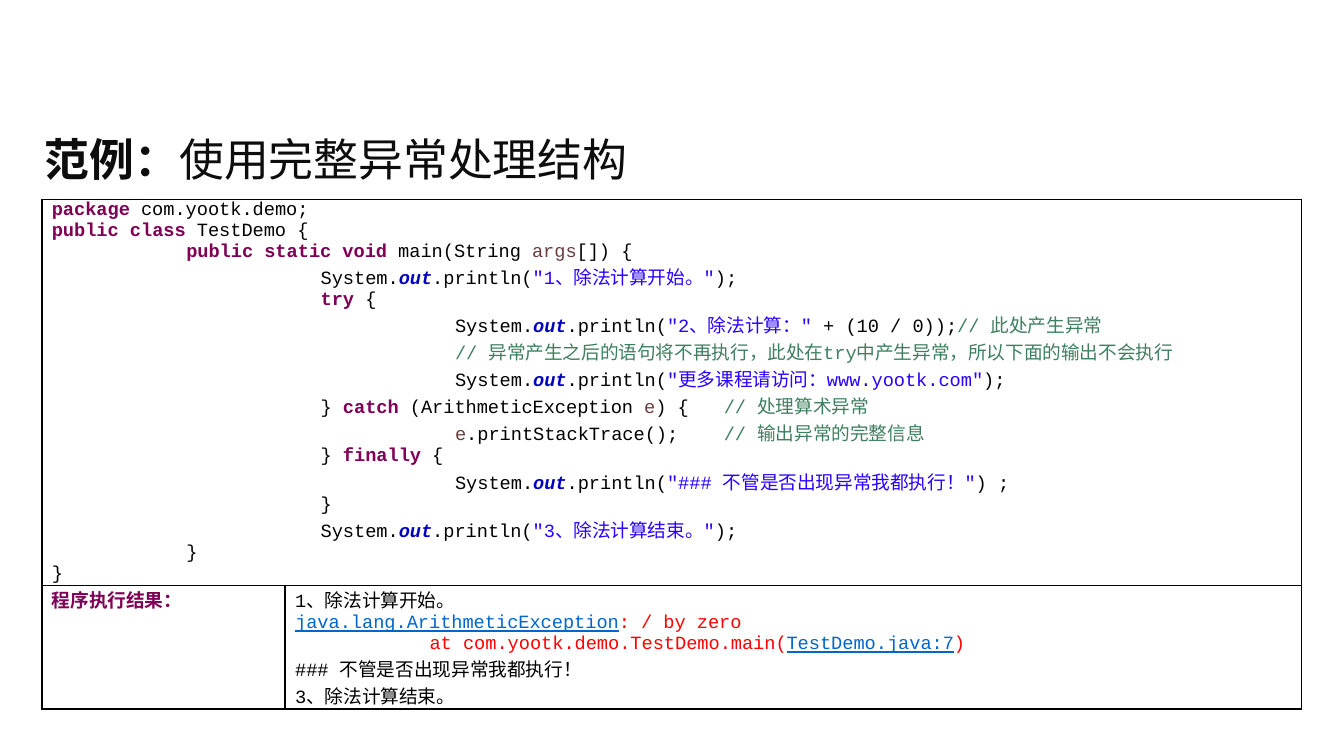
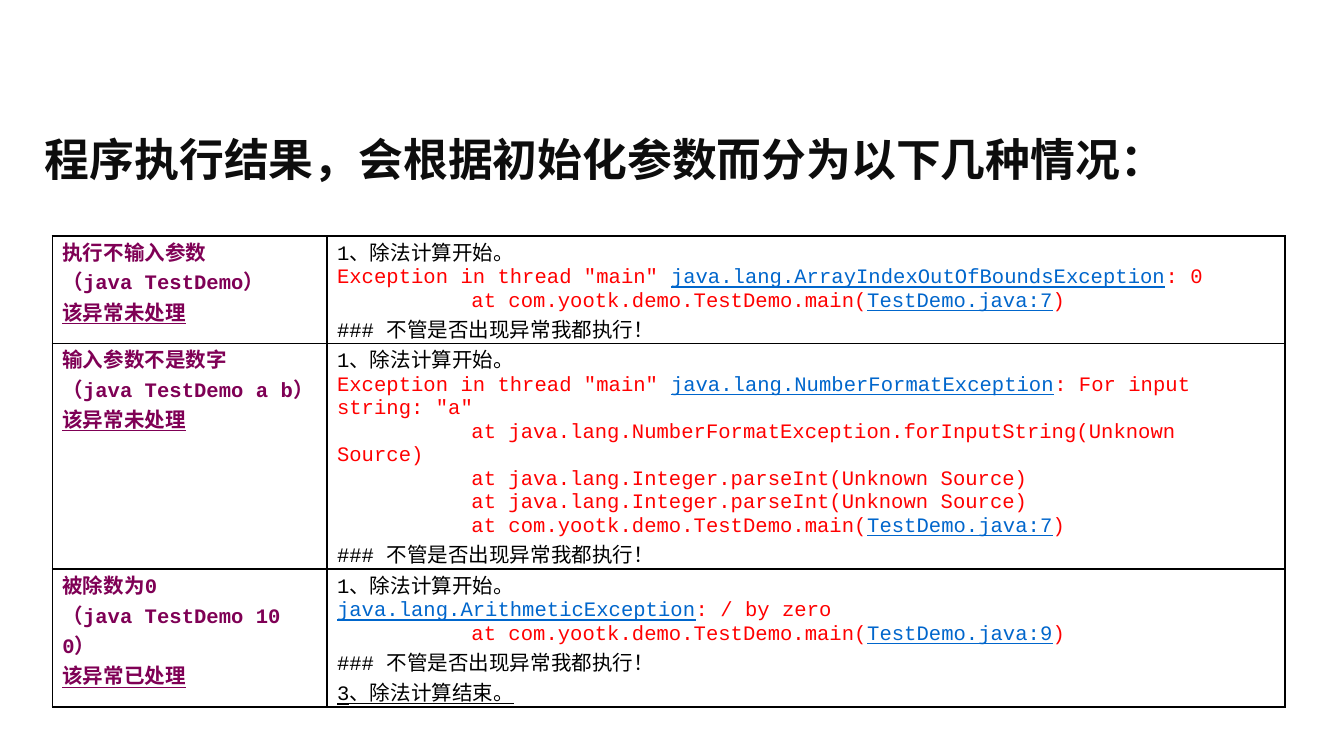
import lxml.etree
import pptx
import pptx.dml.color
import pptx.enum.text
import pptx.oxml.ns
import pptx.util

Cm = pptx.util.Cm
Pt = pptx.util.Pt

CODE_FONT = "Courier New"
CHINESE_FONT = "Noto Sans CJK SC"
TITLE_BOX = (0.6, 2.18, 24.2, 1.63)
CELL_MARGIN = 0.19
TAB_WIDTH = 2.54
BORDER_COLOR = "000000"
TITLE_COLOR = "0D0D0D"

STYLES = {
    "plain": {"color": "000000"},
    "keyword": {"color": "7F0055", "bold": True},
    "verdict": {"color": "7F0055", "bold": True, "underline": True},
    "variable": {"color": "6A3E3E"},
    "field": {"color": "0000C0", "bold": True, "italic": True},
    "string": {"color": "2A00FF"},
    "comment": {"color": "3F7F5F"},
    "error": {"color": "FF0000"},
    "link": {"color": "0066CC", "underline": True},
    "underlined": {"color": "000000", "underline": True},
}

START = [("plain", "1、除法计算开始。")]
ALWAYS = [("plain", "### 不管是否出现异常我都执行！")]
END_TEXT = "3、除法计算结束。"


def rgb(value):
    return pptx.dml.color.RGBColor.from_string(value)


def add_run(paragraph, text, size, font_name, color, bold=False, italic=False, underline=False):
    run = paragraph.add_run()
    run.text = text
    font = run.font
    font.size = Pt(size)
    font.bold = bold
    font.italic = italic
    font.underline = underline
    font.color.rgb = rgb(color)
    font.name = font_name
    properties = run._r.get_or_add_rPr()
    east_asian = lxml.etree.SubElement(properties, pptx.oxml.ns.qn("a:ea"))
    east_asian.set("typeface", CHINESE_FONT)


def add_title(slide, box, parts):
    shape = slide.shapes.add_textbox(*map(Cm, box))
    frame = shape.text_frame
    frame.word_wrap = True
    frame.vertical_anchor = pptx.enum.text.MSO_ANCHOR.MIDDLE
    for text, bold in parts:
        add_run(frame.paragraphs[0], text, 24, CHINESE_FONT, TITLE_COLOR, bold)


def add_borders(cell):
    properties = cell._tc.get_or_add_tcPr()
    for side in ("lnL", "lnR", "lnT", "lnB"):
        line = lxml.etree.SubElement(properties, pptx.oxml.ns.qn(f"a:{side}"), w=str(Pt(1)))
        fill = lxml.etree.SubElement(line, pptx.oxml.ns.qn("a:solidFill"))
        lxml.etree.SubElement(fill, pptx.oxml.ns.qn("a:srgbClr"), val=BORDER_COLOR)


def fill_cell(cell, lines, size):
    frame = cell.text_frame
    for index, line in enumerate(lines):
        paragraph = frame.add_paragraph() if index else frame.paragraphs[0]
        paragraph._p.get_or_add_pPr().set("defTabSz", str(Cm(TAB_WIDTH)))
        for style, text in line:
            add_run(paragraph, text, size, CODE_FONT, **STYLES[style])


def add_code_table(slide, position, column_widths, row_heights, rows, size):
    left, top = position
    shape = slide.shapes.add_table(
        len(row_heights), len(column_widths), Cm(left), Cm(top),
        Cm(sum(column_widths)), Cm(sum(row_heights)))
    table = shape.table
    table.first_row = False
    table.horz_banding = False
    for column, width in zip(table.columns, column_widths):
        column.width = Cm(width)
    for row, height in zip(table.rows, row_heights):
        row.height = Cm(height)
    for row_index, cells in enumerate(rows):
        for column_index in range(len(column_widths)):
            cell = table.cell(row_index, column_index)
            cell.margin_left = cell.margin_right = Cm(CELL_MARGIN)
            cell.margin_top = cell.margin_bottom = 0
            add_borders(cell)
            cell.fill.background()
        if len(cells) == 1:
            table.cell(row_index, 0).merge(table.cell(row_index, len(column_widths) - 1))
        for column_index, lines in enumerate(cells):
            fill_cell(table.cell(row_index, column_index), lines, size)


def print_line(depth, text, ending=");"):
    return [("plain", "\t" * depth + "System."), ("field", "out"), ("plain", ".println("),
            ("string", f'"{text}"'), ("plain", ending)]


def trace_line(line_number):
    return [("error", "\tat com.yootk.demo.TestDemo.main("),
            ("link", f"TestDemo.java:{line_number}"), ("error", ")")]


def exception_line(name, message, prefix=""):
    start = [("error", prefix)] if prefix else []
    return start + [("link", f"java.lang.{name}"), ("error", message)]


def case_label(condition, command, verdict):
    return [[("keyword", condition)], [("keyword", f"（{command}）")], [("verdict", verdict)]]


def arithmetic_result(line_number, end_style):
    return [START, exception_line("ArithmeticException", ": / by zero"),
            trace_line(line_number), ALWAYS, [(end_style, END_TEXT)]]


def program_lines():
    return [
        [("keyword", "package"), ("plain", " com.yootk.demo;")],
        [("keyword", "public class"), ("plain", " TestDemo {")],
        [("plain", "\t"), ("keyword", "public static void"), ("plain", " main(String "),
         ("variable", "args"), ("plain", "[]) {")],
        print_line(2, "1、除法计算开始。"),
        [("plain", "\t\t"), ("keyword", "try"), ("plain", " {")],
        print_line(3, "2、除法计算：", " + (10 / 0));") + [("comment", "// 此处产生异常")],
        [("plain", "\t\t\t"),
         ("comment", "// 异常产生之后的语句将不再执行，此处在try中产生异常，所以下面的输出不会执行")],
        print_line(3, "更多课程请访问：www.yootk.com"),
        [("plain", "\t\t} "), ("keyword", "catch"), ("plain", " (ArithmeticException "),
         ("variable", "e"), ("plain", ") {\t"), ("comment", "// 处理算术异常")],
        [("plain", "\t\t\t"), ("variable", "e"), ("plain", ".printStackTrace();\t"),
         ("comment", "// 输出异常的完整信息")],
        [("plain", "\t\t} "), ("keyword", "finally"), ("plain", " {")],
        print_line(3, "### 不管是否出现异常我都执行！", ") ;"),
        [("plain", "\t\t}")],
        print_line(2, END_TEXT),
        [("plain", "\t}")],
        [("plain", "}")],
    ]


def build_example_slide(slide):
    add_title(slide, TITLE_BOX, [("范例：", True), ("使用完整异常处理结构", False)])
    rows = [
        [program_lines()],
        [[[("keyword", "程序执行结果：")]], arithmetic_result(7, "plain")],
    ]
    add_code_table(slide, (0.79, 3.77), (4.6, 19.21), (7.29, 2.33), rows, 10)


def build_results_slide(slide):
    add_title(slide, TITLE_BOX, [("程序执行结果，会根据初始化参数而分为以下几种情况：", True)])
    thread = 'Exception in thread "main" '
    parse_line = [("error", "\tat java.lang.Integer.parseInt(Unknown Source)")]
    rows = [
        [case_label("执行不输入参数", "java TestDemo", "该异常未处理"),
         [START, exception_line("ArrayIndexOutOfBoundsException", ": 0", thread),
          trace_line(7), ALWAYS]],
        [case_label("输入参数不是数字", "java TestDemo a b", "该异常未处理"),
         [START, exception_line("NumberFormatException", ': For input string: "a"', thread),
          [("error", "\tat java.lang.NumberFormatException.forInputString(Unknown Source)")],
          parse_line, parse_line, trace_line(7), ALWAYS]],
        [case_label("被除数为0", "java TestDemo 10 0", "该异常已处理"),
         arithmetic_result(9, "underlined")],
    ]
    add_code_table(slide, (0.99, 4.46), (5.19, 18.11), (2.03, 4.26, 2.6), rows, 11)


def main():
    presentation = pptx.Presentation()
    presentation.slide_width = Cm(25.4)
    presentation.slide_height = Cm(14.28)
    for build_slide in (build_example_slide, build_results_slide):
        build_slide(presentation.slides.add_slide(presentation.slide_layouts[6]))
    presentation.save("out.pptx")


if __name__ == "__main__":
    main()
